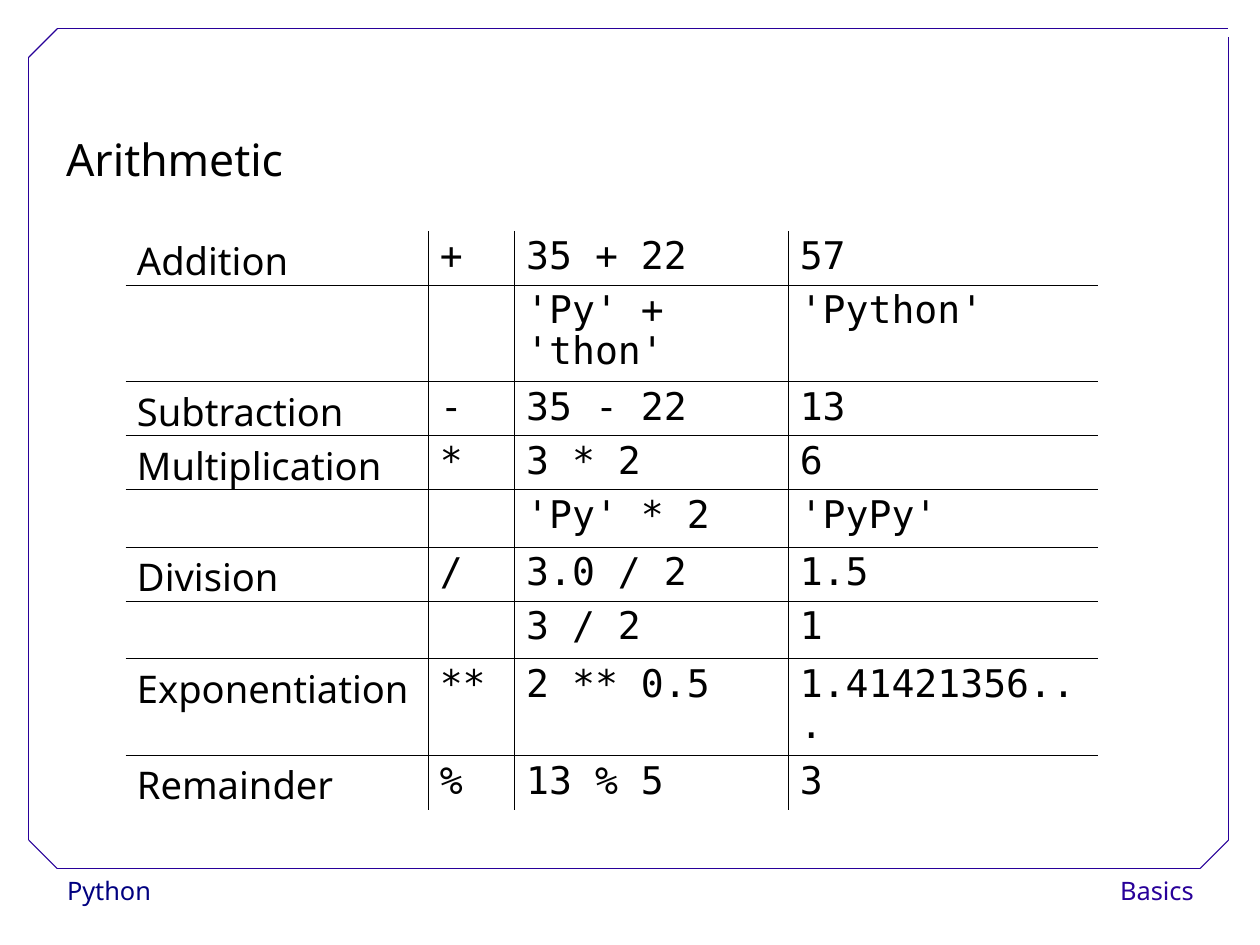
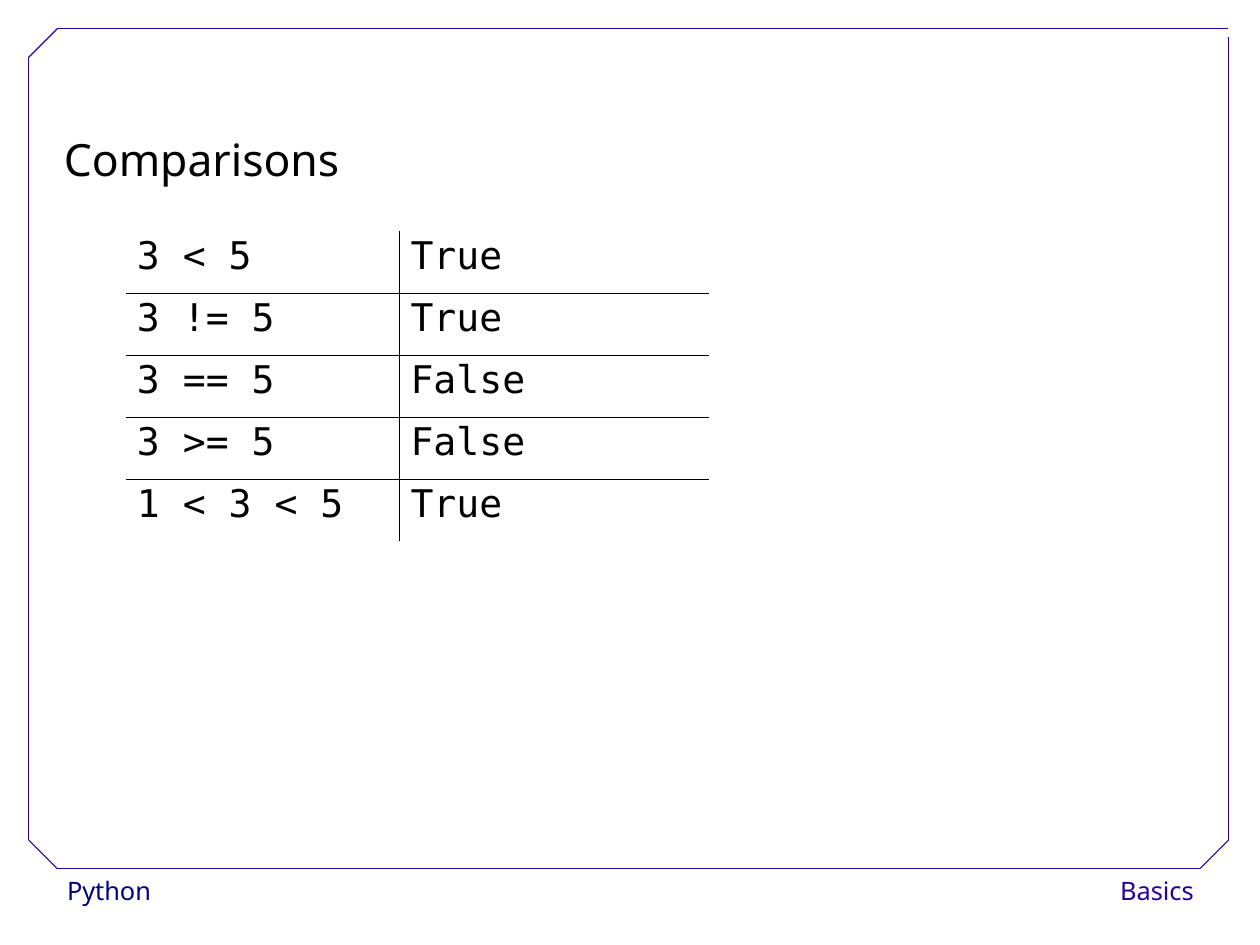
from pptx import Presentation
from pptx import util as u
from pptx.dml.color import RGBColor
from pptx.enum import shapes, text
from pptx.oxml import parse_xml
from pptx.oxml.ns import nsdecls, qn
from pptx.oxml.xmlchemy import OxmlElement

BLACK = RGBColor(0x00, 0x00, 0x00)
WHITE = RGBColor(0xFF, 0xFF, 0xFF)
NAVY = RGBColor(0x00, 0x00, 0x80)
INDIGO = RGBColor(0x28, 0x00, 0x99)
SANS = "Noto Sans"
MONO = "DejaVu Sans Mono"

# Frame edges and the ends of its cut corners, in centimetres
LEFT, TOP, RIGHT, BOTTOM = 0.64, 0.64, 27.3, 19.3
CUT = 0.63
FRAME_LINES = [
    (LEFT + CUT, BOTTOM, RIGHT - CUT, BOTTOM),
    (LEFT, BOTTOM - CUT, LEFT, TOP + CUT),
    (LEFT + CUT, TOP, RIGHT, TOP),
    (RIGHT, BOTTOM - CUT, RIGHT, 0.82),
    (LEFT, TOP + CUT, LEFT + CUT, TOP),
    (RIGHT - CUT, BOTTOM, RIGHT, BOTTOM - CUT),
    (LEFT, BOTTOM - CUT, LEFT + CUT, BOTTOM),
]

TABLE_LEFT, TABLE_TOP = 2.79, 5.13
BORDER_WIDTH = u.Pt(0.45)
EXPRESSION_WIDTH, RESULT_WIDTH = 6.08, 6.88
SINGLE_ROW, LOOSE_ROW, DOUBLE_ROW = 1.2, 1.28, 2.15
COMPARISON_ROW = 1.38

ARITHMETIC = [
    (SINGLE_ROW, ("Addition", "+", "35 + 22", "57")),
    (DOUBLE_ROW, ("", "", "'Py' + 'thon'", "'Python'")),
    (SINGLE_ROW, ("Subtraction", "-", "35 - 22", "13")),
    (SINGLE_ROW, ("Multiplication", "*", "3 * 2", "6")),
    (LOOSE_ROW, ("", "", "'Py' * 2", "'PyPy'")),
    (SINGLE_ROW, ("Division", "/", "3.0 / 2", "1.5")),
    (LOOSE_ROW, ("", "", "3 / 2", "1")),
    (DOUBLE_ROW, ("Exponentiation", "**", "2 ** 0.5", "1.41421356...")),
    (SINGLE_ROW, ("Remainder", "%", "13 % 5", "3")),
]
COMPARISONS = [
    (COMPARISON_ROW, row)
    for row in [
        ("3 < 5", "True"),
        ("3 != 5", "True"),
        ("3 == 5", "False"),
        ("3 >= 5", "False"),
        ("1 < 3 < 5", "True"),
    ]
]


def write_text(frame, content, font=SANS, size=16, color=BLACK,
               align=text.PP_ALIGN.LEFT, line_spacing=1.0, space_after=0):
    frame.word_wrap = True
    paragraph = frame.paragraphs[0]
    paragraph.alignment = align
    paragraph.line_spacing = line_spacing
    paragraph.space_after = u.Pt(space_after)
    run = paragraph.add_run()
    run.text = content
    run.font.name = font
    run.font.size = u.Pt(size)
    run.font.color.rgb = color


def add_text_box(slide, left, top, width, height, content, **text_format):
    box = slide.shapes.add_textbox(u.Cm(left), u.Cm(top), u.Cm(width), u.Cm(height))
    write_text(box.text_frame, content, **text_format)
    return box


def add_line(slide, *ends):
    line = slide.shapes.add_connector(
        shapes.MSO_CONNECTOR.STRAIGHT, *(u.Cm(end) for end in ends))
    line.line.color.rgb = INDIGO
    line.line.width = u.Pt(0.75)
    line._element.spPr.append(OxmlElement("a:effectLst"))


def set_borders(cell, **visible):
    """Draw the sides L, R, T and B that are true and clear the others."""
    properties = cell._tc.get_or_add_tcPr()
    for side in "LRTB":
        fill = (f'<a:solidFill><a:srgbClr val="{BLACK}"/></a:solidFill>'
                if visible[side] else "<a:noFill/>")
        properties.append(parse_xml(
            f'<a:ln{side} {nsdecls("a")} w="{BORDER_WIDTH}">{fill}</a:ln{side}>'))


def add_grid(slide, rows, columns):
    """Add a table with inner rules only; columns hold (width, font)."""
    heights = [height for height, _ in rows]
    widths = [width for width, _ in columns]
    table = slide.shapes.add_table(
        len(rows), len(columns), u.Cm(TABLE_LEFT), u.Cm(TABLE_TOP),
        u.Cm(sum(widths)), u.Cm(sum(heights))).table
    table.first_row = table.horz_banding = False
    for column, width in zip(table.columns, widths):
        column.width = u.Cm(width)
    for r, (height, contents) in enumerate(rows):
        table.rows[r].height = u.Cm(height)
        for c, content in enumerate(contents):
            cell = table.cell(r, c)
            set_borders(cell, L=c > 0, R=c < len(columns) - 1,
                        T=r > 0, B=r < len(rows) - 1)
            cell.fill.background()
            if content:
                write_text(cell.text_frame, content, font=columns[c][1], size=24,
                           line_spacing=0.93, space_after=14.3)


def add_slide(presentation, title, title_left, title_width):
    """Add a slide with the shared frame and footers, and its title."""
    slide = presentation.slides.add_slide(presentation.slide_layouts[6])
    slide.background.fill.solid()
    slide.background.fill.fore_color.rgb = WHITE
    add_text_box(slide, 1.24, BOTTOM, 5.46, 1.02, "Python",
                 color=NAVY, line_spacing=1.02)
    add_text_box(slide, 23.22, BOTTOM, 3.56, 1.02, "Basics", color=INDIGO,
                 align=text.PP_ALIGN.RIGHT, line_spacing=1.02)
    for ends in FRAME_LINES:
        add_line(slide, *ends)
    heading = add_text_box(slide, title_left, 2.34, title_width, 2.03, title,
                           size=28, line_spacing=1.5)
    heading.text_frame.margin_top = heading.text_frame.margin_bottom = 0
    return slide


def main():
    presentation = Presentation()
    presentation.slide_width = u.Cm(28)
    presentation.slide_height = u.Cm(21)

    value_columns = [(EXPRESSION_WIDTH, MONO), (RESULT_WIDTH, MONO)]
    slide = add_slide(presentation, "Arithmetic", 1.22, 7.87)
    add_grid(slide, ARITHMETIC, [(6.73, SANS), (1.92, MONO)] + value_columns)
    slide = add_slide(presentation, "Comparisons", 1.17, 9.17)
    add_grid(slide, COMPARISONS, value_columns)

    presentation.save("out.pptx")


if __name__ == "__main__":
    main()
